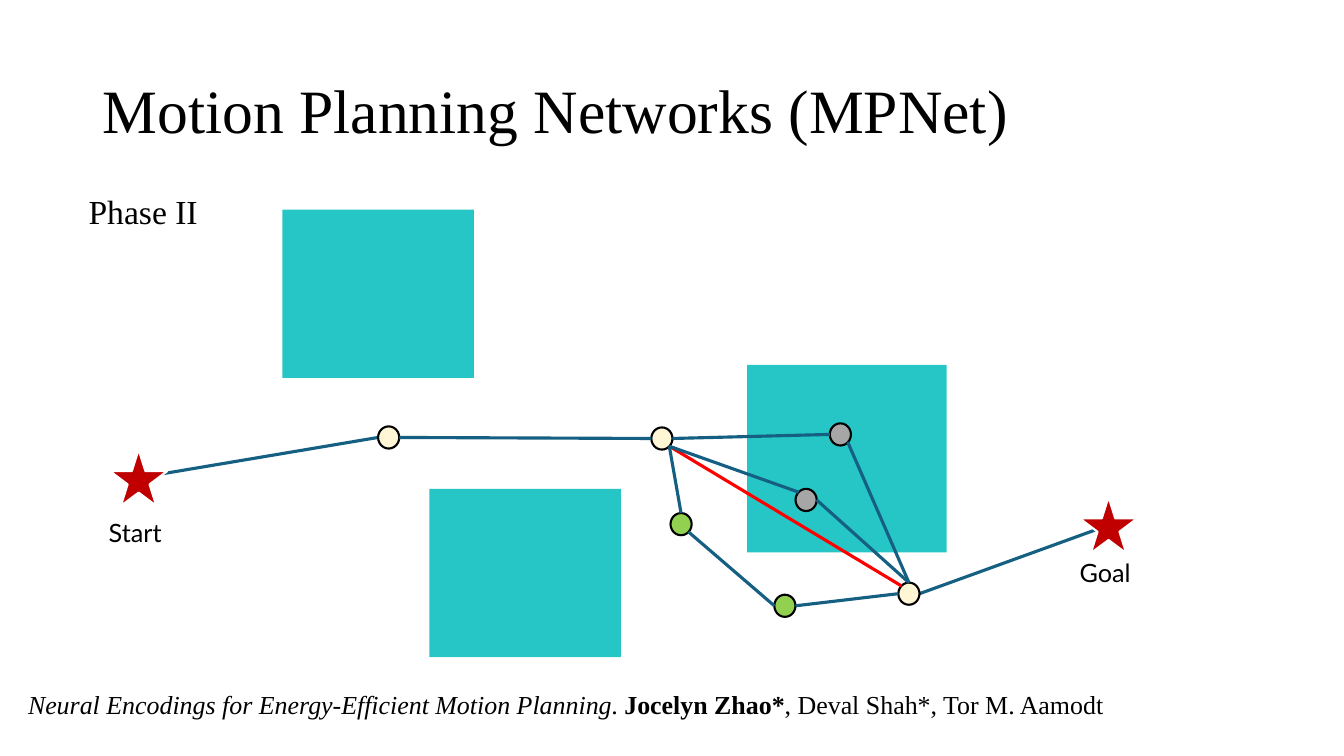
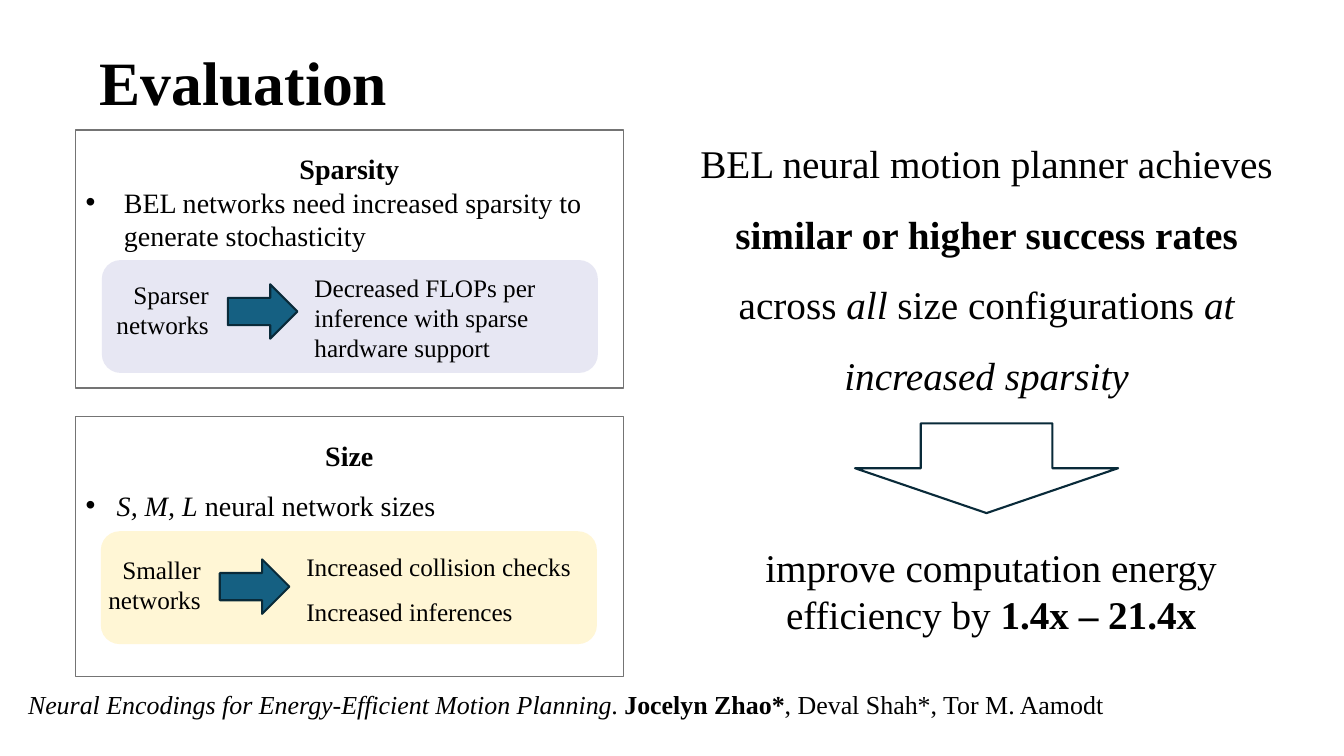
"""Build two slides on neural motion planning: the MPNet path diagram and the evaluation."""
from lxml.etree import SubElement
from pptx import Presentation
from pptx.dml.color import RGBColor
from pptx.enum.shapes import MSO_CONNECTOR, MSO_SHAPE
from pptx.enum.text import MSO_ANCHOR, MSO_AUTO_SIZE, PP_ALIGN
from pptx.oxml.ns import qn
from pptx.util import Pt

PX = 9144
SERIF, SANS = "Times New Roman", "Lato"
BLACK = RGBColor(0x00, 0x00, 0x00)
WHITE = RGBColor(0xFF, 0xFF, 0xFF)
TEAL = RGBColor(0x25, 0xC6, 0xC5)
CRIMSON = RGBColor(0xC0, 0x00, 0x00)
RED = RGBColor(0xFF, 0x00, 0x00)
CREAM = RGBColor(0xFF, 0xF6, 0xD5)
GREEN = RGBColor(0x92, 0xD0, 0x50)
GRAY = RGBColor(0xA6, 0xA6, 0xA6)
LAVENDER = RGBColor(0xE7, 0xE7, 0xF3)
BLUE = RGBColor(0x15, 0x60, 0x82)
NAVY = RGBColor(0x09, 0x2A, 0x39)
BORDER = RGBColor(0x74, 0x74, 0x74)

CITATION = [("Neural Encodings for Energy-Efficient Motion Planning", "i"), (". ", ""),
            ("Jocelyn Zhao*", "b"), (", Deval Shah*, Tor M. Aamodt", "")]
CITATION_BOX = (18, 671, 1143, 59)

OBSTACLES = [(280, 208, 190, 167), (741, 362, 198, 186), (426, 485, 190, 167)]
STAR_SIZE, NODE_SIZE = (57, 56), (21, 22)
STARS = {"start": (109, 446), "goal": (1071, 493)}
NODES = {
    "first": (375, 423, CREAM), "second": (646, 424, CREAM), "last": (891, 578, CREAM),
    "detour in": (665, 509, GREEN), "detour out": (768, 590, GREEN),
    "blocked high": (823, 420, GRAY), "blocked low": (789, 485, GRAY),
}
SITES = {"center": (0.5, 0.5), "top": (0.5, 0), "left": (0, 0.5), "right": (1, 0.5),
         "top left": (0.15, 0.15), "bottom right": (0.85, 0.85)}
STAR_LINKS = [("last", "right", "goal", "center", BLUE),
              ("start", "center", "first", "left", BLUE)]
NODE_LINKS = [
    ("first", "right", "second", "left", BLUE),
    ("second", "bottom right", "last", "top left", RED),
    ("second", "bottom right", "detour in", "top", BLUE),
    ("detour in", "bottom right", "detour out", "left", BLUE),
    ("detour out", "right", "last", "left", BLUE),
    ("second", "right", "blocked high", "left", BLUE),
    ("blocked high", "bottom right", "last", "top", BLUE),
    ("second", "bottom right", "blocked low", "top left", BLUE),
    ("blocked low", "right", "last", "top", BLUE),
]
DIAGRAM_LABELS = [("Start", (98, 508, 242, 40), 18, SANS),
                  ("Goal", (1061, 548, 242, 40), 18, SANS),
                  ("Phase II", (78, 184, 308, 50), 24, SERIF)]

PANELS = [
    {"heading": "Size", "box": (75, 413, 543, 258), "pill": (100, 527, 492, 112), "tint": CREAM,
     "point": [("S, M, L", "i"), (" neural network sizes", "")], "indent": 31, "spacing": 1.5,
     "cause": "Smaller networks", "flow": (76, 545),
     "effects": ["Increased collision checks", "Increased inferences"],
     "effect top": 527, "effect spacing": 1.5},
    {"heading": "Sparsity", "box": (75, 129, 543, 256), "pill": (101, 258, 492, 112),
     "tint": LAVENDER,
     "point": [("BEL networks need increased sparsity to generate stochasticity", "")],
     "indent": 38, "spacing": 1.0,
     "cause": "Sparser networks", "flow": (84, 272),
     "effects": ["Decreased FLOPs per inference with sparse hardware support"],
     "effect top": 265, "effect spacing": 1.0},
]
FINDING = [("BEL neural motion planner achieves ", ""), ("similar or higher success rates ", "b"),
           ("across ", ""), ("all", "i"), (" size configurations ", ""),
           ("at increased sparsity", "i")]
RESULT = [("improve computation energy efficiency by ", ""), ("1.4x – 21.4x", "b")]


def emu(lengths):
    return [round(length * PX) for length in lengths]


def apply(target, values):
    for name, value in values.items():
        setattr(target, name, value)


def write(shape, paragraphs, size, font=SERIF, anchor=MSO_ANCHOR.TOP):
    frame = shape.text_frame
    apply(frame, {"word_wrap": True, "auto_size": MSO_AUTO_SIZE.NONE, "vertical_anchor": anchor})
    for index, (runs, layout) in enumerate(paragraphs):
        paragraph = frame.add_paragraph() if index else frame.paragraphs[0]
        apply(paragraph, {"alignment": PP_ALIGN.LEFT, "line_spacing": 1.0, **layout})
        for text, style in runs:
            run = paragraph.add_run()
            run.text = text
            apply(run.font, {"name": font, "size": Pt(size), "bold": "b" in style,
                             "italic": "i" in style})
            run.font.color.rgb = BLACK
    return frame


def add_text(shapes, box, paragraphs, size, **options):
    return write(shapes.add_textbox(*emu(box)), paragraphs, size, **options)


def add_figure(shapes, preset, box, fill=None, line=None, width=1.5):
    figure = shapes.add_shape(preset, *emu(box))
    figure.shadow.inherit = False
    for ink, color in ((figure.fill, fill), (figure.line.fill, line)):
        if color is None:
            ink.background()
        else:
            ink.solid()
            ink.fore_color.rgb = color
    if line is not None:
        figure.line.width = Pt(width)
    return figure


def add_bullet(paragraph, indent):
    properties = paragraph._p.get_or_add_pPr()
    properties.set("marL", str(indent * PX))
    properties.set("indent", str(-indent * PX))
    SubElement(properties, qn("a:buFont")).set("typeface", "Arial")
    SubElement(properties, qn("a:buChar")).set("char", "•")


def site_point(place, site):
    if place in STARS:
        (left, top), (width, height) = STARS[place], STAR_SIZE
    else:
        (left, top), (width, height) = NODES[place][:2], NODE_SIZE
    across, down = SITES[site]
    return left + across * width, top + down * height


def add_links(shapes, links):
    for origin, origin_site, target, target_site, color in links:
        ends = site_point(origin, origin_site) + site_point(target, target_site)
        link = shapes.add_connector(MSO_CONNECTOR.STRAIGHT, *emu(ends))
        link.line.color.rgb = color
        link.line.width = Pt(2.25)
        SubElement(link._element.spPr, qn("a:effectLst"))


def start_slide(deck, title, style, box):
    slide = deck.slides.add_slide(deck.slide_layouts[5])
    apply(slide.shapes.title, dict(zip(("left", "top", "width", "height"), emu(box))))
    write(slide.shapes.title, [([(title, style)], {"line_spacing": 0.9})], 44,
          anchor=MSO_ANCHOR.MIDDLE)
    add_text(slide.shapes, CITATION_BOX, [(CITATION, {"line_spacing": 0.9})], 18.5,
             anchor=MSO_ANCHOR.MIDDLE)
    return slide.shapes


def build_diagram(deck):
    shapes = start_slide(deck, "Motion Planning Networks (MPNet)", "", (92, 40, 1150, 145))
    add_links(shapes, STAR_LINKS)
    for obstacle in OBSTACLES:
        add_figure(shapes, MSO_SHAPE.RECTANGLE, obstacle, TEAL)
    for corner in STARS.values():
        add_figure(shapes, MSO_SHAPE.STAR_5_POINT, corner + STAR_SIZE, CRIMSON, WHITE)
    for left, top, color in NODES.values():
        add_figure(shapes, MSO_SHAPE.OVAL, (left, top) + NODE_SIZE, color, BLACK)
    add_links(shapes, NODE_LINKS)
    for label, box, size, font in DIAGRAM_LABELS:
        add_text(shapes, box, [([(label, "")], {})], size, font=font)


def add_panel(shapes, panel):
    parts = shapes.add_group_shape().shapes
    add_figure(parts, MSO_SHAPE.ROUNDED_RECTANGLE, panel["pill"], panel["tint"])
    box = add_figure(parts, MSO_SHAPE.RECTANGLE, panel["box"], line=BORDER, width=0.75)
    frame = write(box, [
        ([(panel["heading"], "b")], {"alignment": PP_ALIGN.CENTER, "line_spacing": 1.5}),
        (panel["point"], {"line_spacing": panel["spacing"]})], 20)
    add_bullet(frame.paragraphs[1], panel["indent"])
    left, top = panel["flow"]
    add_text(parts, (left, top, 133, 71),
             [([(panel["cause"], "")], {"alignment": PP_ALIGN.RIGHT})], 18)
    add_figure(parts, MSO_SHAPE.RIGHT_ARROW, (left + 142, top + 10, 69, 54), BLUE, NAVY)
    add_text(parts, (left + 218, panel["effect top"], 285, 100),
             [([(effect, "")], {"line_spacing": panel["effect spacing"]})
              for effect in panel["effects"]], 18)


def build_evaluation(deck):
    shapes = start_slide(deck, "Evaluation", "b", (89, 12, 1150, 145))
    for panel in PANELS:
        add_panel(shapes, panel)
    centered = {"alignment": PP_ALIGN.CENTER}
    add_text(shapes, (674, 110, 609, 284), [(FINDING, {**centered, "line_spacing": 1.5})], 28)
    add_figure(shapes, MSO_SHAPE.DOWN_ARROW, (848, 420, 261, 89), line=NAVY)
    add_text(shapes, (692, 534, 582, 104), [(RESULT, centered)], 28)


def main():
    deck = Presentation()
    apply(deck, dict(zip(("slide_width", "slide_height"), emu((1333, 750)))))
    build_diagram(deck)
    build_evaluation(deck)
    deck.save("out.pptx")


if __name__ == "__main__":
    main()
